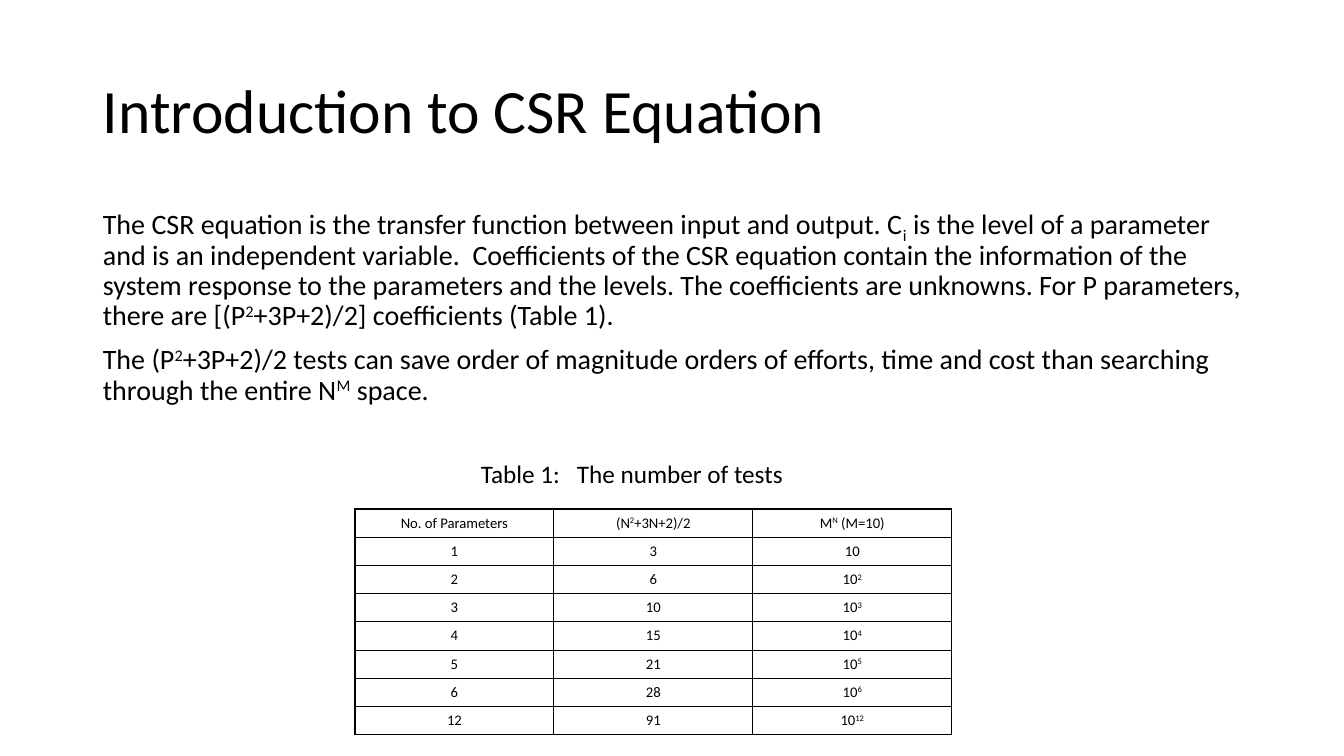
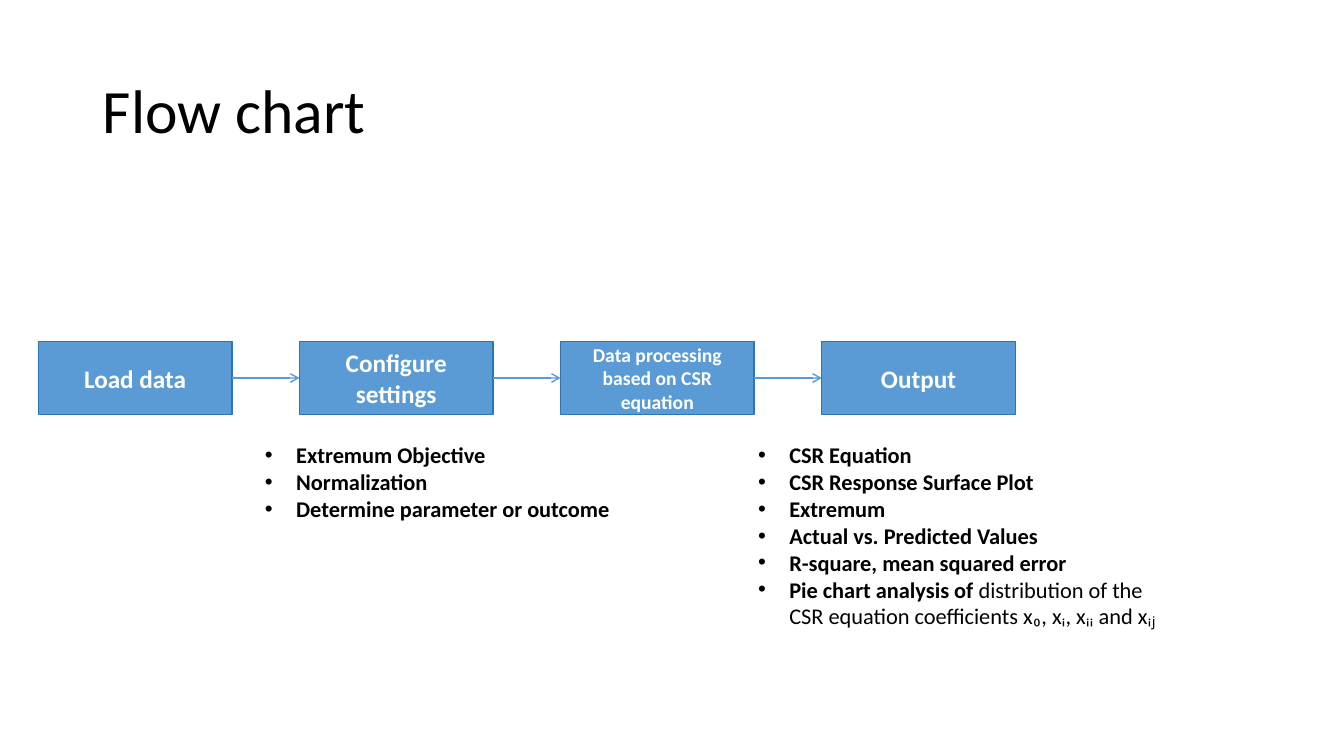
from dataclasses import dataclass
from itertools import pairwise

from lxml import etree
from pptx import Presentation
from pptx.dml.color import RGBColor
from pptx.enum.shapes import MSO_CONNECTOR, MSO_SHAPE
from pptx.enum.text import MSO_ANCHOR, MSO_AUTO_SIZE, PP_ALIGN
from pptx.oxml.ns import qn
from pptx.util import Pt

LEFT, CENTER = PP_ALIGN.LEFT, PP_ALIGN.CENTER
MIDDLE, TOP = MSO_ANCHOR.MIDDLE, MSO_ANCHOR.TOP
FIXED = MSO_AUTO_SIZE.NONE
RECT, STRAIGHT = MSO_SHAPE.RECTANGLE, MSO_CONNECTOR.STRAIGHT
SCALE = 9144
SHIFTS = {"^": "30000", "_": "-25000"}


@dataclass(frozen=True)
class Theme:
    font: str = "Calibri"
    ink: str = "000000"
    paper: str = "FFFFFF"
    blue: str = "5B9BD5"
    edge: str = "2E75B6"
    title: float = 44
    body: float = 20
    label: float = 18
    list: float = 16
    small: float = 14
    cell: float = 10.5
    rule: float = 1


THEME = Theme()
TITLE_BOX = (92, 40, 1150, 145)
BODY_BOX = (92, 200, 1150, 476)
TABLE_BOX = (352, 505, 592, 224)
NOTE_BOX = (467, 450, 362, 40)
FLOW_BOX = (38, 339, 969, 72)
STEP_WIDTH = 192

INTRO = [
    "The CSR equation is the transfer function between input and output. "
    "C|_i| is the level of a parameter and is an independent variable.  "
    "Coefficients of the CSR equation contain the information of the system "
    "response to the parameters and the levels. The coefficients are unknowns. "
    "For P parameters, there are [(P|^2|+3P+2)/2] coefficients (Table 1).",
    "The (P|^2|+3P+2)/2 tests can save order of magnitude orders of efforts, "
    "time and cost than searching through the entire N|^M| space.",
]
HEADS = ["No. of Parameters", "(N|^2|+3N+2)/2", "M|^N| (M=10)"]
COUNTS = [1, 2, 3, 4, 5, 6, 12]
STEPS = [
    (["Load data"], THEME.label),
    (["Configure settings"], THEME.label),
    (["Data processing", "based on CSR equation"], THEME.small),
    (["Output"], THEME.label),
]
LISTS = [
    ((253, 433, 380, 91),
     ["Extremum Objective", "Normalization", "Determine parameter or outcome"]),
    ((742, 433, 427, 225),
     ["CSR Equation", "CSR Response Surface Plot", "Extremum",
      "Actual vs. Predicted Values", "R-square, mean squared error",
      "Pie chart analysis of |~distribution of the CSR equation "
      "coefficients x₀, xᵢ, xᵢᵢ and xᵢⱼ|"]),
]


def px(*sizes):
    return [round(size * SCALE) for size in sizes]


def rgb(code):
    return RGBColor.from_string(code)


def add_runs(par, text):
    for index, part in enumerate(text.split("|")):
        if not part:
            continue
        run = par.add_run()
        if index % 2 == 0:
            run.text = part
            continue
        mark, run.text = part[0], part[1:]
        if mark == "~":
            run.font.bold = False
        else:
            run._r.get_or_add_rPr().set("baseline", SHIFTS[mark])


def set_bullet(par, char=None):
    props = par._p.get_or_add_pPr()
    depth = px(31)[0] if char else 0
    props.set("marL", str(depth))
    props.set("indent", str(-depth))
    if char:
        etree.SubElement(props, qn("a:buFont"), typeface="Arial")
        etree.SubElement(props, qn("a:buChar"), char=char)
    else:
        etree.SubElement(props, qn("a:buNone"))


def write(frame, lines, size, color=THEME.ink, bold=False, align=LEFT,
          bullet=None, lead=1.0, before=0):
    for index, line in enumerate(lines):
        par = frame.paragraphs[0] if index == 0 else frame.add_paragraph()
        set_bullet(par, bullet)
        par.alignment = align
        par.line_spacing = lead
        par.space_before = Pt(before)
        font = par.font
        font.name, font.size, font.bold = THEME.font, Pt(size), bold
        font.color.rgb = rgb(color)
        add_runs(par, line)


def fill_holder(holder, box, lines, size, anchor, before=0):
    holder.left, holder.top, holder.width, holder.height = px(*box)
    frame = holder.text_frame
    frame.auto_size, frame.word_wrap = FIXED, True
    frame.vertical_anchor = anchor
    write(frame, lines, size, lead=0.9, before=before)


def add_slide(deck, layout, title):
    slide = deck.slides.add_slide(deck.slide_layouts.get_by_name(layout))
    fill_holder(slide.shapes.title, TITLE_BOX, [title], THEME.title, MIDDLE)
    return slide


def add_text(slide, box, lines, size, **style):
    frame = slide.shapes.add_textbox(*px(*box)).text_frame
    frame.word_wrap = True
    write(frame, lines, size, **style)


def set_border(cell):
    props = cell._tc.get_or_add_tcPr()
    for side in ("lnL", "lnR", "lnT", "lnB"):
        line = etree.SubElement(props, qn(f"a:{side}"), w=str(Pt(THEME.rule)))
        fill = etree.SubElement(line, qn("a:solidFill"))
        etree.SubElement(fill, qn("a:srgbClr"), val=THEME.ink)


def add_grid(slide, box, rows):
    high, wide = len(rows), len(rows[0])
    table = slide.shapes.add_table(high, wide, *px(*box)).table
    table.first_row = table.horz_banding = False
    for row, texts in zip(table.rows, rows):
        row.height = px(box[3] / high)[0]
        for cell, text in zip(row.cells, texts):
            set_border(cell)
            cell.fill.background()
            write(cell.text_frame, [text], THEME.cell, align=CENTER)


def add_step(slide, box, lines, size):
    step = slide.shapes.add_shape(RECT, *px(*box))
    step.shadow.inherit = False
    step.fill.solid()
    step.fill.fore_color.rgb = rgb(THEME.blue)
    step.line.color.rgb = rgb(THEME.edge)
    step.line.width = Pt(THEME.rule)
    step.text_frame.word_wrap = True
    step.text_frame.vertical_anchor = MIDDLE
    write(step.text_frame, lines, size, THEME.paper, True, CENTER)
    return step


def add_arrow(slide, start, end):
    arrow = slide.shapes.add_connector(STRAIGHT, 0, 0, 0, 0)
    arrow.begin_connect(start, 3)
    arrow.end_connect(end, 1)
    arrow.line.color.rgb = rgb(THEME.blue)
    arrow.line.width = Pt(THEME.rule)
    etree.SubElement(arrow.line._get_or_add_ln(), qn("a:tailEnd"), type="arrow")
    etree.SubElement(arrow._element.spPr, qn("a:effectLst"))


def add_flow(slide, box, steps):
    left, top, width, height = box
    pitch = (width - STEP_WIDTH) / (len(steps) - 1)
    shapes = [
        add_step(slide, (left + index * pitch, top, STEP_WIDTH, height), *step)
        for index, step in enumerate(steps)
    ]
    for start, end in pairwise(shapes):
        add_arrow(slide, start, end)


def build_intro(deck):
    slide = add_slide(deck, "Title and Content", "Introduction to CSR Equation")
    fill_holder(slide.placeholders[1], BODY_BOX, INTRO, THEME.body, TOP, 10)
    rows = [
        [str(n), str((n * n + 3 * n + 2) // 2), f"10|^{n}|" if n > 1 else "10"]
        for n in COUNTS
    ]
    add_grid(slide, TABLE_BOX, [HEADS] + rows)
    add_text(slide, NOTE_BOX, ["Table 1:   The number of tests"], THEME.label)


def build_flow(deck):
    slide = add_slide(deck, "Title Only", "Flow chart")
    add_flow(slide, FLOW_BOX, STEPS)
    for box, lines in LISTS:
        add_text(slide, box, lines, THEME.list, bold=True, bullet="•")


def main():
    deck = Presentation()
    deck.slide_width, deck.slide_height = px(1333, 750)
    build_intro(deck)
    build_flow(deck)
    deck.save("out.pptx")


if __name__ == "__main__":
    main()
